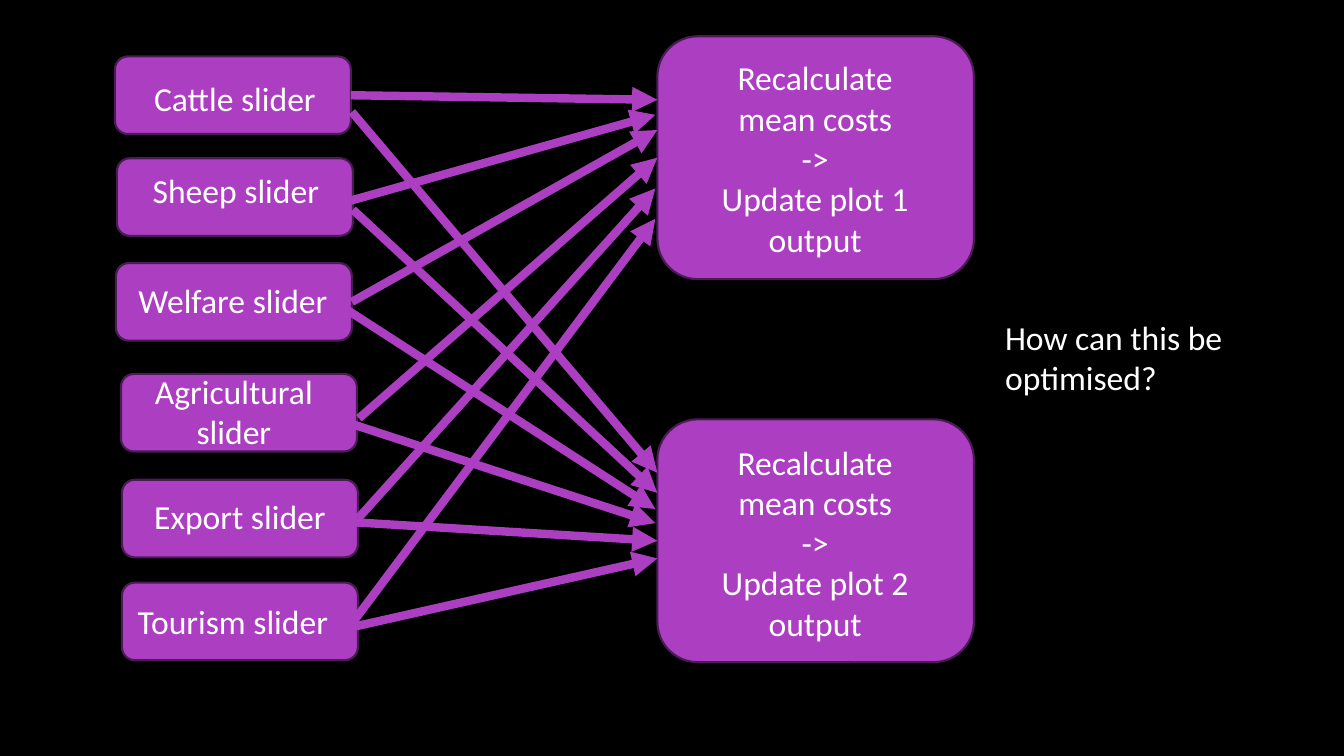
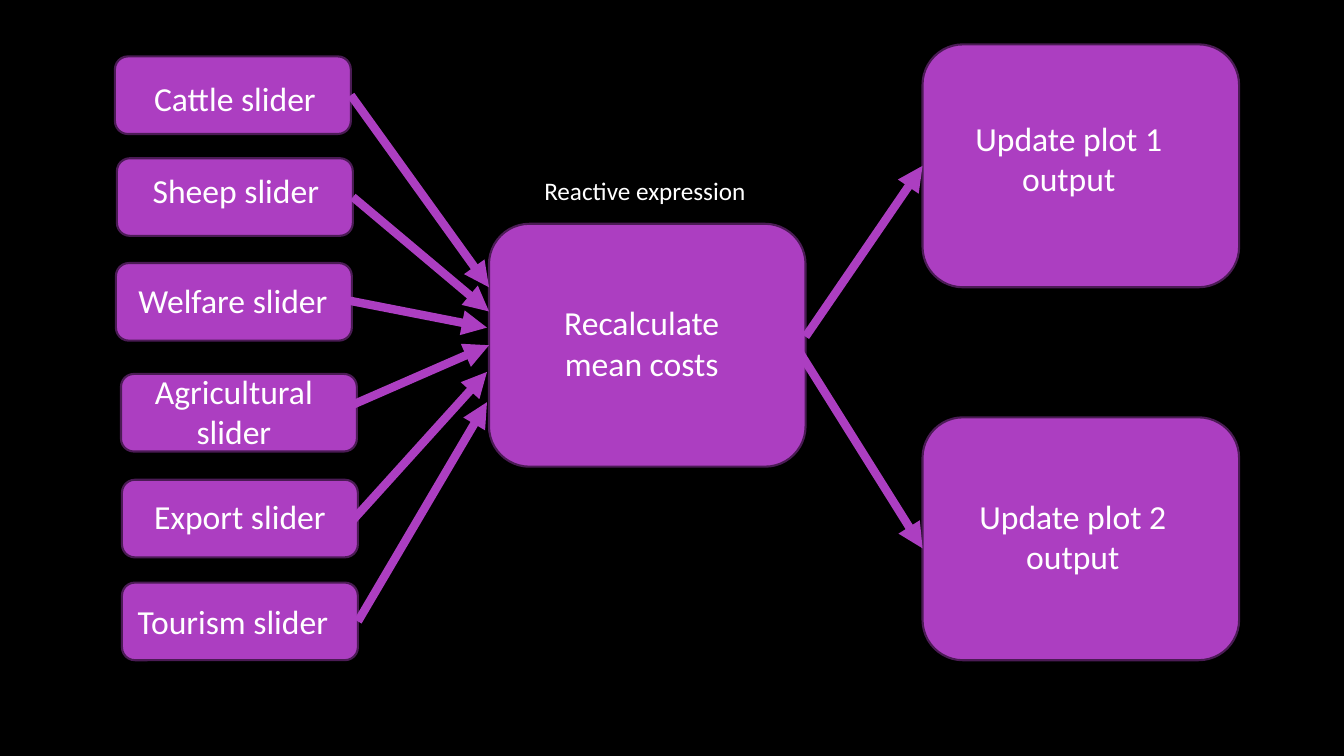
from dataclasses import dataclass

import pptx
import pptx.dml.color
import pptx.enum.shapes
import pptx.enum.text
import pptx.oxml
import pptx.oxml.ns
import pptx.util

PX = 9144  # 100 px to the inch


def rgb(value):
    return pptx.dml.color.RGBColor.from_string(value)


@dataclass(frozen=True)
class Theme:
    background = rgb("000000")
    purple = rgb("AC3EC1")
    outline = rgb("4B1B55")
    text = rgb("FFFFFF")
    font = "Calibri"
    label_size = pptx.util.Pt(24)
    caption_size = pptx.util.Pt(18)
    outline_width = pptx.util.Pt(1.5)
    arrow_width = pptx.util.Pt(6)


THEME = Theme()
ALIGN = pptx.enum.text.PP_ALIGN
SLIDER_SIZE = (234, 77)
STEP_SIZE = (314, 241)
SNAP = 3  # an arrow this close to the middle of a side is joined to it
LEFT_SIDE, RIGHT_SIDE = 1, 3

# label, box left and top, label left, top and height
SLIDERS = [
    ("Cattle slider", (114, 56), (116, 72, 50)),
    ("Sheep slider", (116, 157), (117, 164, 50)),
    ("Welfare slider", (115, 261), (114, 273, 50)),
    ("Agricultural slider", (120, 371), (115, 363, 91)),
    ("Export slider", (121, 476), (121, 487, 50)),
    ("Tourism slider", (121, 578), (114, 591, 50)),
]


def px(*lengths):
    return [pptx.util.Emu(length * PX) for length in lengths]


def add_text(s, at, lines, align=ALIGN.CENTER, size=THEME.label_size):
    tf = s.shapes.add_textbox(*px(*at)).text_frame
    tf.word_wrap = True
    tf.auto_size = pptx.enum.text.MSO_AUTO_SIZE.SHAPE_TO_FIT_TEXT
    tf.text = "\n".join(lines)
    for p in tf.paragraphs:
        p.alignment = align
        for r in p.runs:
            r.font.name = THEME.font
            r.font.size = size
            r.font.color.rgb = THEME.text


def add_box(s, corner, size):
    sp = s.shapes.add_shape(
        pptx.enum.shapes.MSO_SHAPE.ROUNDED_RECTANGLE, *px(*corner, *size))
    sp.shadow.inherit = False
    sp.fill.solid()
    sp.fill.fore_color.rgb = THEME.purple
    sp.line.color.rgb = THEME.outline
    sp.line.width = THEME.outline_width
    return sp


def add_step(s, corner, label_at, lines):
    box = add_box(s, corner, STEP_SIZE)
    add_text(s, label_at, lines)
    return box


def add_sliders(s):
    boxes = []
    for label, corner, (left, top, height) in SLIDERS:
        boxes.append(add_box(s, corner, SLIDER_SIZE))
        add_text(s, (left, top, SLIDER_SIZE[0], height), [label])
    return boxes


def at_side_middle(box, side, point):
    x = box.left + (box.width if side == RIGHT_SIDE else 0)
    y = box.top + box.height / 2
    return max(abs(point[0] * PX - x), abs(point[1] * PX - y)) <= SNAP * PX


def add_arrow(s, source, target, start, end):
    """Draw an arrow rightwards, joined to a box where it meets a side's middle."""
    line = s.shapes.add_connector(
        pptx.enum.shapes.MSO_CONNECTOR.STRAIGHT, *px(*start, *end))
    line.line.color.rgb = THEME.purple
    line.line.width = THEME.arrow_width
    ns = pptx.oxml.ns.nsdecls("a")
    line.line._get_or_add_ln().append(
        pptx.oxml.parse_xml(f'<a:tailEnd {ns} type="triangle"/>'))
    line._element.spPr.append(pptx.oxml.parse_xml(f"<a:effectLst {ns}/>"))
    if at_side_middle(source, RIGHT_SIDE, start):
        line.begin_connect(source, RIGHT_SIDE)
    if at_side_middle(target, LEFT_SIDE, end):
        line.end_connect(target, LEFT_SIDE)


def add_arrows(s, sources, target, ends):
    for source, (start, end) in zip(sources, ends):
        add_arrow(s, source, target, start, end)


def build_direct_slide(s):
    """Every slider triggers both recalculations."""
    sliders = add_sliders(s)
    plots = [
        add_step(s, (652, top), (698, label_top, 221, 212),
                 ["Recalculate mean costs", "->", f"Update plot {number} output"])
        for number, top, label_top in [(1, 36, 52), (2, 416, 433)]
    ]
    add_arrows(s, sliders, plots[0], [
        ((351, 97), (652, 99)), ((348, 199), (650, 114)),
        ((349, 297), (652, 129)), ((356, 415), (652, 157)),
        ((357, 514), (650, 187)), ((351, 616), (650, 217)),
    ])
    add_arrows(s, sliders, plots[1], [
        ((349, 111), (652, 469)), ((350, 208), (652, 489)),
        ((339, 304), (650, 505)), ((350, 421), (650, 519)),
        ((349, 518), (652, 537)), ((350, 622), (652, 554)),
    ])
    add_text(s, (987, 309, 282, 91), ["How can this be optimised?"], ALIGN.LEFT)


def build_reactive_slide(s):
    """One shared reactive expression feeds both plots."""
    sliders = add_sliders(s)
    recalculate = add_step(
        s, (485, 222), (526, 295, 221, 91), ["Recalculate mean costs"])
    plot_1 = add_step(s, (915, 44), (948, 112, 224, 91), ["Update plot 1 output"])
    plot_2 = add_step(s, (915, 414), (952, 487, 224, 91), ["Update plot 2 output"])
    add_text(s, (530, 169, 227, 40), ["Reactive expression"],
             ALIGN.LEFT, THEME.caption_size)
    add_arrows(s, sliders, recalculate, [
        ((351, 97), (485, 285)), ((349, 198), (485, 309)),
        ((345, 298), (483, 325)), ((335, 408), (485, 343)),
        ((350, 516), (483, 369)), ((356, 618), (483, 399)),
    ])
    add_arrow(s, recalculate, plot_1, (799, 334), (915, 164))
    add_arrow(s, recalculate, plot_2, (786, 338), (915, 544))


def main():
    prs = pptx.Presentation()
    prs.slide_width, prs.slide_height = px(1333, 750)
    fill = prs.slide_master.background.fill
    fill.solid()
    fill.fore_color.rgb = THEME.background
    blank = prs.slide_layouts[6]
    for build in (build_direct_slide, build_reactive_slide):
        build(prs.slides.add_slide(blank))
    prs.save("out.pptx")


if __name__ == "__main__":
    main()
